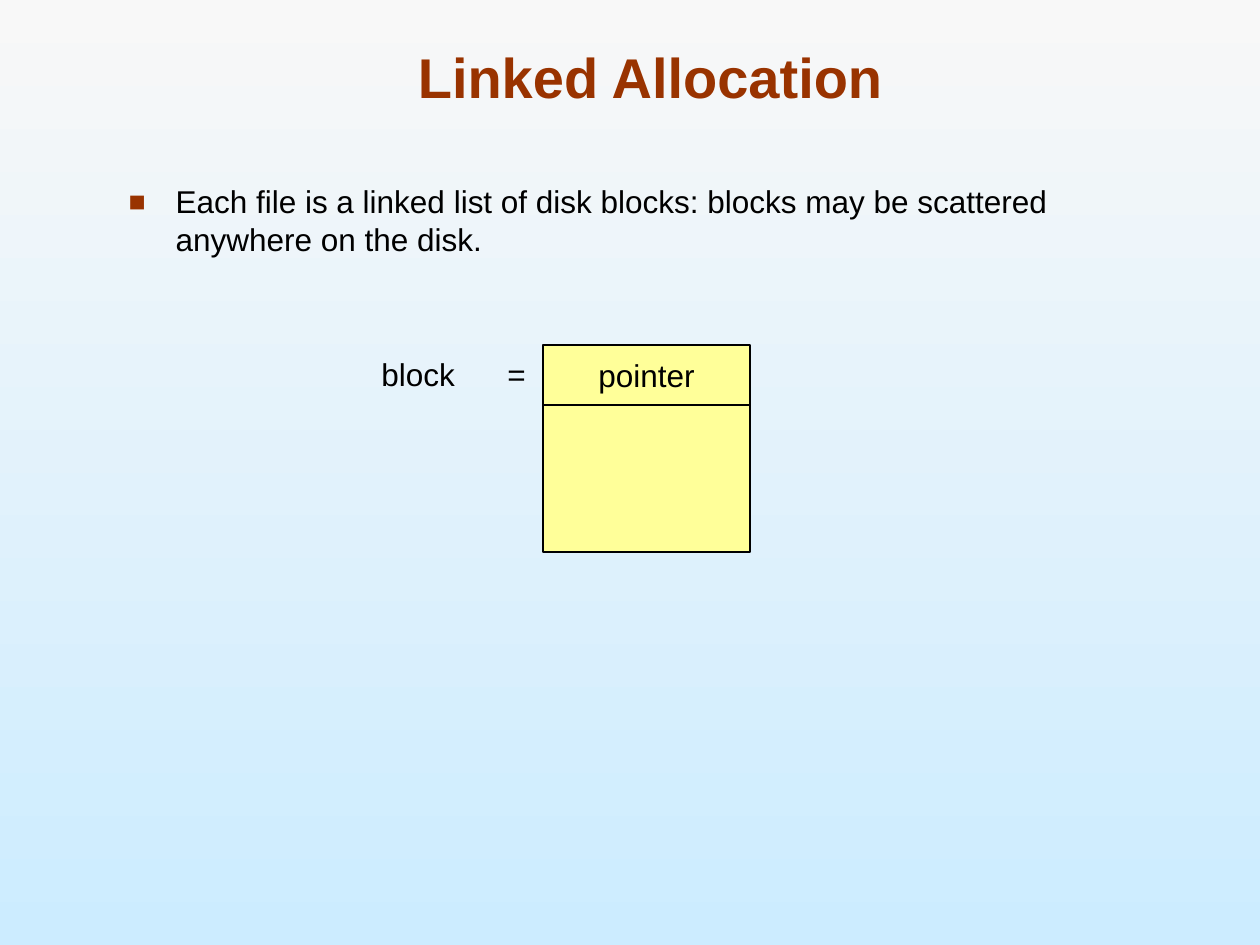
from lxml.etree import SubElement
from pptx import Presentation
from pptx.dml.color import RGBColor
from pptx.enum.shapes import MSO_SHAPE as Shape
from pptx.enum.text import MSO_ANCHOR as Anchor, MSO_AUTO_SIZE as AutoSize, PP_ALIGN as Align
from pptx.oxml.ns import qn
from pptx.util import Inches, Pt

PX = Inches(1) // 126
BLACK, RUST, YELLOW = "000000", "993300", "FFFF99"


def color(value):
    return RGBColor.from_string(value)


def place(shape, left, top, width, height):
    shape.left, shape.top = left * PX, top * PX
    shape.width, shape.height = width * PX, height * PX


def write(shape, text, align, anchor, size=18, ink=BLACK, bold=False):
    frame = shape.text_frame
    frame.text = text
    frame.word_wrap = True
    frame.auto_size = AutoSize.NONE
    frame.vertical_anchor = anchor
    paragraph = frame.paragraphs[0]
    paragraph.alignment = align
    font = paragraph.font
    font.name, font.size, font.bold = "Arial", Pt(size), bold
    font.color.rgb = color(ink)
    return paragraph


def add_properties(paragraph, *elements):
    properties = paragraph._p.get_or_add_pPr()
    font_properties = properties.find(qn("a:defRPr"))
    for tag, attributes in elements:
        element = SubElement(properties, qn(tag), attributes)
        font_properties.addprevious(element)
    return properties


def set_bullet(paragraph, indent):
    properties = add_properties(
        paragraph,
        ("a:buClr", {}),
        ("a:buSzPct", {"val": "90000"}),
        ("a:buFont", {"typeface": "Arial"}),
        ("a:buChar", {"char": "■"}),
    )
    SubElement(properties.find(qn("a:buClr")), qn("a:srgbClr"), val=RUST)
    properties.set("marL", str(indent * PX))
    properties.set("indent", str(-indent * PX))


def set_tab(paragraph, position):
    properties = add_properties(paragraph, ("a:tabLst", {}))
    SubElement(properties.find(qn("a:tabLst")), qn("a:tab"), pos=str(position * PX), algn="l")


def add_box(slide, left, top, width, height):
    shape = slide.shapes.add_shape(Shape.RECTANGLE, left * PX, top * PX, width * PX, height * PX)
    shape.shadow.inherit = False
    shape.fill.solid()
    shape.fill.fore_color.rgb = color(YELLOW)
    shape.line.color.rgb = color(BLACK)
    shape.line.width = Pt(0.75)
    return shape


def add_label(slide, text, left, top, width, height, tab):
    label = slide.shapes.add_textbox(left * PX, top * PX, width * PX, height * PX)
    paragraph = write(label, text, Align.LEFT, Anchor.MIDDLE)
    label.text_frame.margin_right = 0
    set_tab(paragraph, tab)


def set_background(slide, *stops):
    fill = slide.background.fill
    fill.gradient()
    fill.gradient_angle = 270
    for stop, value in zip(fill.gradient_stops, stops):
        stop.color.rgb = color(value)


def add_block_diagram(slide):
    left, top, width, pointer_height, data_height = 543, 345, 207, 60, 147
    pointer = add_box(slide, left, top, width, pointer_height)
    write(pointer, "pointer", Align.CENTER, Anchor.MIDDLE)
    add_box(slide, left, top + pointer_height, width, data_height)
    add_label(slide, "block\t=", 369, 349, 169, 50, tab=126)


def main():
    presentation = Presentation()
    presentation.slide_width, presentation.slide_height = Inches(10), Inches(7.5)
    slide = presentation.slides.add_slide(presentation.slide_layouts[1])
    set_background(slide, "F8F8F8", "CCECFF")

    title, body = slide.placeholders
    place(title, 94, 32, 1113, 84)
    write(title, "Linked Allocation", Align.CENTER, Anchor.BOTTOM, 32, RUST, True)

    place(body, 116, 176, 1013, 102)
    paragraph = write(
        body,
        "Each file is a linked list of disk blocks: blocks may be scattered anywhere on the disk.",
        Align.LEFT,
        Anchor.TOP,
    )
    paragraph.space_before = Pt(7.9)
    set_bullet(paragraph, 47)

    add_block_diagram(slide)
    presentation.save("out.pptx")


if __name__ == "__main__":
    main()
